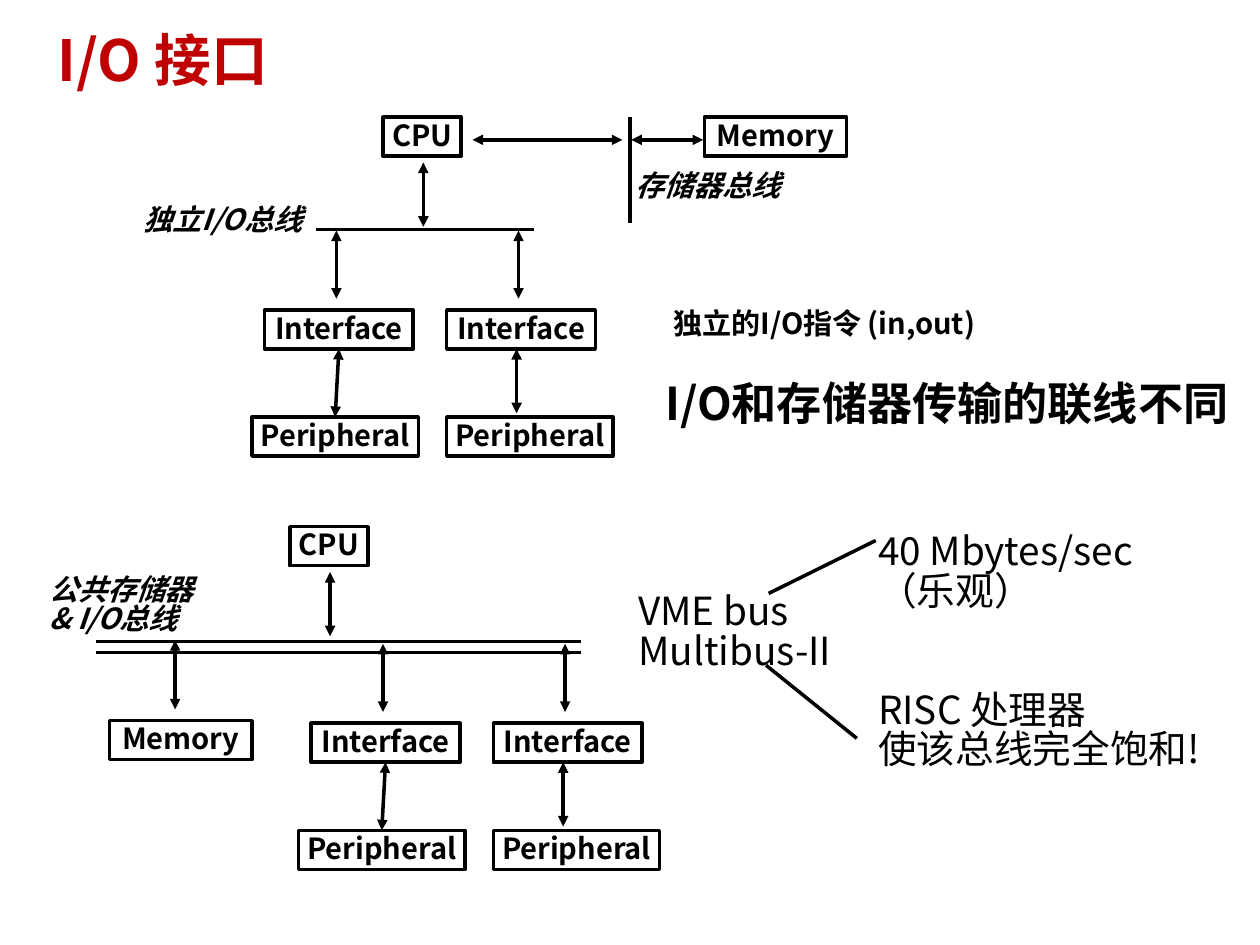
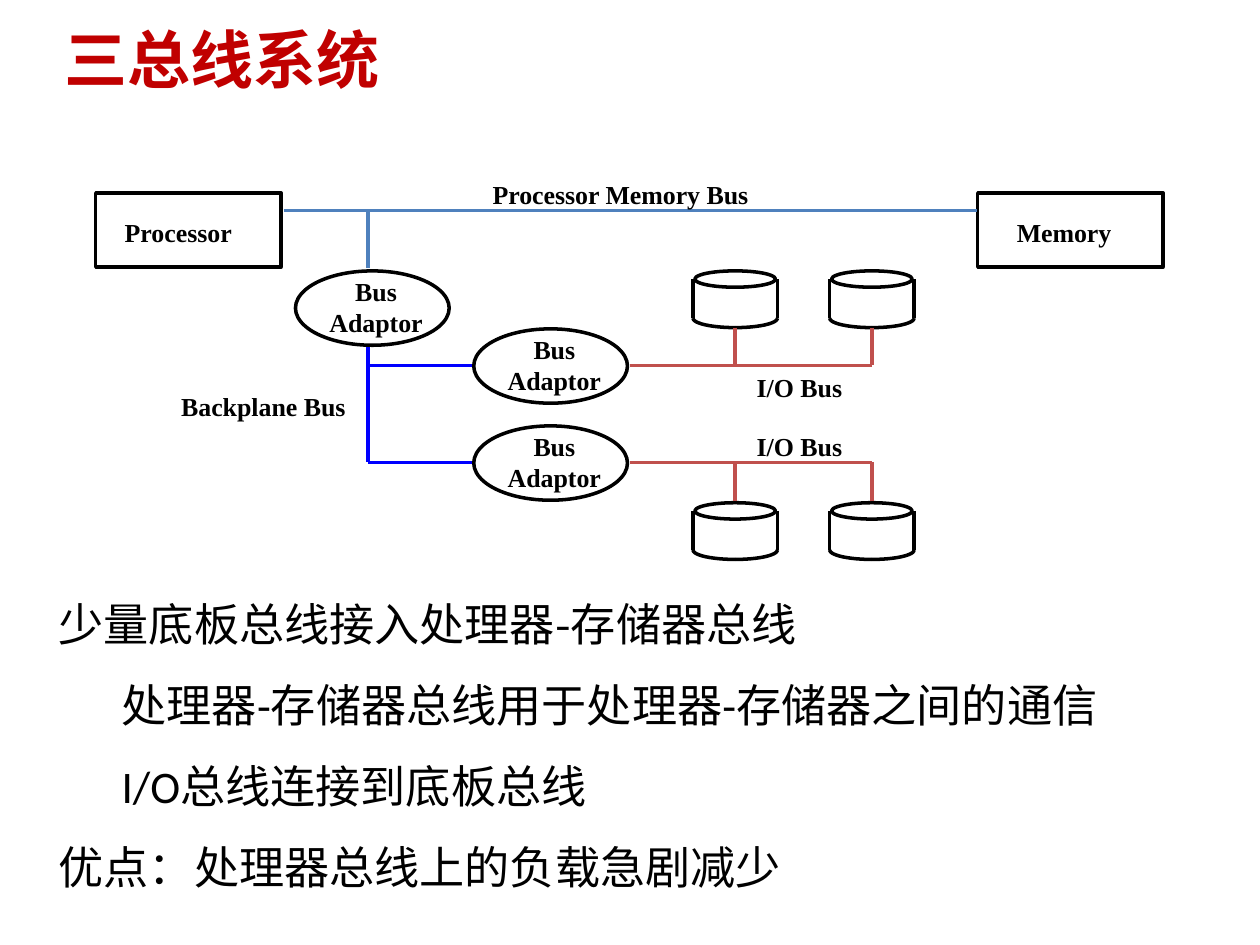
from math import cos, pi, sin

from lxml.etree import SubElement
from pptx import Presentation
from pptx.dml.color import RGBColor
from pptx.enum.shapes import MSO_CONNECTOR, MSO_SHAPE
from pptx.enum.text import MSO_ANCHOR, MSO_AUTO_SIZE, PP_ALIGN
from pptx.oxml.ns import qn
from pptx.util import Inches, Pt

COLS, ROWS = 100, 75
TOP, BOTTOM = 0, 2
TITLE_ONLY, TITLE_AND_BODY = 5, 1
SANS, SERIF = "Noto Sans CJK SC", "Times New Roman"
BLACK, TITLE_RED = "000000", "C00000"
MEMORY_BLUE, BACKPLANE_BLUE, IO_RED = "4F81BD", "0000FF", "C0504D"


def color(value):
    return RGBColor.from_string(value)


def write(tf, text, size=16.6, font=SANS, ink=BLACK, bold=False, italic=False,
          align=PP_ALIGN.LEFT, spacing=None, inset=(0.06, 0.03),
          anchor=MSO_ANCHOR.TOP, wrap=True):
    """Fill a text frame, one paragraph per line of text."""
    tf.auto_size = MSO_AUTO_SIZE.NONE
    tf.word_wrap = wrap
    tf.vertical_anchor = anchor
    tf.margin_left = tf.margin_right = Inches(inset[0])
    tf.margin_top = tf.margin_bottom = Inches(inset[1])
    for i, line in enumerate(text.split("\n")):
        p = tf.add_paragraph() if i else tf.paragraphs[0]
        p.alignment = align
        p.space_before = Pt(0)
        if spacing:
            p.line_spacing = spacing
        r = p.add_run()
        r.text = line
        r.font.size = Pt(size)
        r.font.bold, r.font.italic = bold, italic
        r.font.color.rgb = color(ink)
        r.font.name = font
        SubElement(r.font._element, qn("a:ea")).set("typeface", SANS)
    return tf


class Deck:
    """Holds the style and the current slide; lengths are grid columns and rows."""

    def __init__(self):
        self.prs = Presentation()
        self.prs.slide_width, self.prs.slide_height = Inches(10), Inches(7.5)
        self.col = self.prs.slide_width / COLS
        self.row = self.prs.slide_height / ROWS

    def grid(self, x, y):
        return round(x * self.col), round(y * self.row)

    def place(self, sp, x, y, w, h):
        sp.left, sp.top = self.grid(x, y)
        sp.width, sp.height = self.grid(w, h)

    def new_slide(self, layout, title, at, **fmt):
        self.slide = self.prs.slides.add_slide(self.prs.slide_layouts[layout])
        sp = self.slide.shapes.title
        self.place(sp, *at)
        write(sp.text_frame, title, ink=TITLE_RED, bold=True, **fmt)

    def body(self, items, at, **fmt):
        """Fill the body placeholder with (level, text, font) items."""
        sp = self.slide.placeholders[1]
        self.place(sp, *at)
        tf = write(sp.text_frame, "\n".join(text for _, text, _ in items), **fmt)
        for p, (level, _, font) in zip(tf.paragraphs, items):
            p.level = level
            pPr = p._p.get_or_add_pPr()
            pPr.set("marL", str(Inches(0.5) * level))
            pPr.set("indent", "0")
            SubElement(pPr, qn("a:buNone"))
            p.runs[0].font.name = font

    def text(self, text, x, y, w, h, **fmt):
        sp = self.slide.shapes.add_textbox(*self.grid(x, y), *self.grid(w, h))
        return write(sp.text_frame, text, **fmt)

    def note(self, text, *at, **fmt):
        return self.text(text, *at, spacing=0.85, **fmt)

    def label(self, text, *at, align=PP_ALIGN.CENTER):
        self.text(text, *at, size=14.8, font=SERIF, bold=True, align=align,
                  inset=(0.09, 0.05), wrap=align == PP_ALIGN.LEFT)

    def outline(self, sp):
        sp.shadow.inherit = False
        sp.fill.background()
        sp.line.color.rgb = color(BLACK)
        sp.line.width = Pt(2)
        return sp

    def shape(self, kind, x, y, w, h):
        return self.outline(self.slide.shapes.add_shape(
            kind, *self.grid(x, y), *self.grid(w, h)))

    def curve(self, points):
        (start, *rest) = [self.grid(*point) for point in points]
        builder = self.slide.shapes.build_freeform(*start)
        builder.add_line_segments(rest, close=False)
        self.outline(builder.convert_to_shape())

    def box(self, text, x, y, w):
        sp = self.shape(MSO_SHAPE.RECTANGLE, x, y, w, 3.1)
        write(sp.text_frame, text, bold=True, align=PP_ALIGN.CENTER, spacing=0.92,
              anchor=MSO_ANCHOR.MIDDLE, wrap=False)
        return sp

    def line(self, x1, y1, x2, y2, ink=BLACK):
        c = self.slide.shapes.add_connector(
            MSO_CONNECTOR.STRAIGHT, *self.grid(x1, y1), *self.grid(x2, y2))
        c.line.color.rgb = color(ink)
        c.line.width = Pt(2)
        SubElement(c._element.spPr, qn("a:effectLst"))
        return c

    def arrow(self, *ends):
        c = self.line(*ends)
        for tag in ("a:headEnd", "a:tailEnd"):
            SubElement(c.line._ln, qn(tag)).set("type", "triangle")
        return c

    def device(self, x, y, shift=0):
        """Interface hung from the bus at x, with its peripheral moved by shift."""
        self.arrow(x, y - 6.3, x, y - 0.9)
        interface = self.box("Interface", x - 5.7, y, 11.8)
        peripheral = self.box("Peripheral", x - 6.7 + shift, y + 8.5, 13.2)
        if shift:
            self.arrow(x - 0.15, y + 3.1, x - 0.15, y + 8.2)
        else:
            link = self.arrow(x, y + 3.1, x, y + 8.5)
            link.begin_connect(interface, BOTTOM)
            link.end_connect(peripheral, TOP)

    def devices(self, x, y):
        self.device(x, y)
        self.device(x + 14.45, y, shift=1)

    def adaptor(self, x, y):
        self.shape(MSO_SHAPE.OVAL, x, y, 12.2, 5.9)
        self.label("Bus\nAdaptor", x + 1.75, y - 0.15, 9.3, 5.9)

    def disk(self, x, y):
        """Drum of an ellipse, two sides and two quarter curves, centred on x."""
        radius, depth, bottom, steps = 3.35, 0.75, y + 3.75, 12
        self.shape(MSO_SHAPE.OVAL, x - 3.2, y, 6.4, 1.3)
        for side in (1, -1):
            angles = [pi / 2 * i / steps for i in range(steps + 1)]
            self.curve([(x + side * radius * cos(a), bottom + depth * sin(a))
                        for a in angles])
            self.line(x + side * radius, y + 0.65, x + side * radius, bottom)


def io_interface(d):
    d.new_slide(TITLE_ONLY, "I/O 接口", (3.7, 2.65, 84.1, 4.1), size=32.4,
                inset=(0.09, 0.04), anchor=MSO_ANCHOR.MIDDLE)

    # Separate I/O bus and memory bus
    bus_row = 11.1
    d.box("CPU", 30.4, 9.3, 6.2)
    d.box("Memory", 55.9, 9.3, 11.3)
    d.arrow(37.5, bus_row, 49.4, bus_row)
    d.arrow(50.1, bus_row, 55.8, bus_row)
    d.line(50, 9.3, 50, 17.7)
    d.arrow(33.6, 12.9, 33.6, 18)
    d.line(25.1, 18.2, 42.4, 18.2)
    d.devices(26.7, 24.6)
    d.note("独立I/O总线", 10.8, 16.15, 14.4, 2.9, bold=True, italic=True)
    d.note("存储器总线", 49.85, 13.45, 14, 2.9, bold=True, italic=True)
    d.note(" 独立的I/O指令 (in,out)", 52.35, 24.4, 26, 5.3, bold=True)
    d.note("I/O和存储器传输的联线不同", 52.2, 30.15, 47.8, 4.2, size=25.8, bold=True)

    # Shared memory and I/O bus
    d.box("CPU", 23, 41.8, 6.2)
    d.arrow(26.2, 45.4, 26.2, 50.5)
    for y in (50.9, 51.8):
        d.line(7.6, y, 46.1, y)
    d.box("Memory", 8.7, 57.2, 11.3)
    d.arrow(13.9, 50.8, 13.9, 56.3)
    d.devices(30.4, 57.4)
    d.note("公共存储器\n& I/O总线", 3.3, 45.45, 14, 5.3, bold=True, italic=True)

    d.note("VME bus\nMultibus-II", 50.05, 46.85, 17.5, 6.9, size=22.1)
    tf = d.note("40 Mbytes/sec\n（乐观）\nRISC 处理器\n使该总线完全饱和!",
                69.1, 42.1, 30, 19.5, size=22.1)
    tf.paragraphs[2].space_before = Pt(45.5)
    d.line(61, 47.1, 69.5, 42.9)
    d.line(60.8, 52.8, 68, 58.6)


def three_buses(d):
    d.new_slide(TITLE_AND_BODY, "三总线系统", (5.1, 1.6, 43.6, 6.4), size=36,
                inset=(0, 0))
    d.body([(0, "少量底板总线接入处理器-存储器总线", SANS),
            (1, "处理器-存储器总线用于处理器-存储器之间的通信", "Calibri"),
            (1, "I/O总线连接到底板总线", "Calibri"),
            (0, "优点：处理器总线上的负载急剧减少", SANS)],
           (4.65, 45.15, 89.6, 25.3), size=25.8, spacing=1.5, inset=(0, 0))

    for name, x, text_x in (("Processor", 7.6, 9), ("Memory", 77.6, 79.8)):
        d.shape(MSO_SHAPE.RECTANGLE, x, 15.3, 14.7, 5.9)
        d.label(name, text_x, 16.7, 12, 3.4, align=PP_ALIGN.LEFT)
    d.line(22.5, 16.7, 77.5, 16.7, MEMORY_BLUE)
    d.label("Processor Memory Bus", 38.1, 13.65, 22.3, 3.4)

    trunk, upper, lower = 29.2, 29, 36.7
    d.line(trunk, 16.7, trunk, 21.3, MEMORY_BLUE)
    d.adaptor(23.45, 21.5)
    d.line(trunk, 27.5, trunk, lower, BACKPLANE_BLUE)
    d.label("Backplane Bus", 13.4, 30.55, 15, 3.4)

    for y, disk_y, disk_end, label_y in ((upper, 21.5, 26, 29),
                                         (lower, 39.9, 39.8, 33.65)):
        d.line(trunk, y, 37.5, y, BACKPLANE_BLUE)
        d.adaptor(37.6, y - 2.9)
        d.line(50, y, 69.2, y, IO_RED)
        d.label("I/O Bus", 59.1, label_y, 8.7, 3.4)
        for x in (58.35, 69.2):
            d.disk(x, disk_y)
            d.line(x, disk_end, x, y, IO_RED)


def main():
    d = Deck()
    io_interface(d)
    three_buses(d)
    d.prs.save("out.pptx")


if __name__ == "__main__":
    main()
